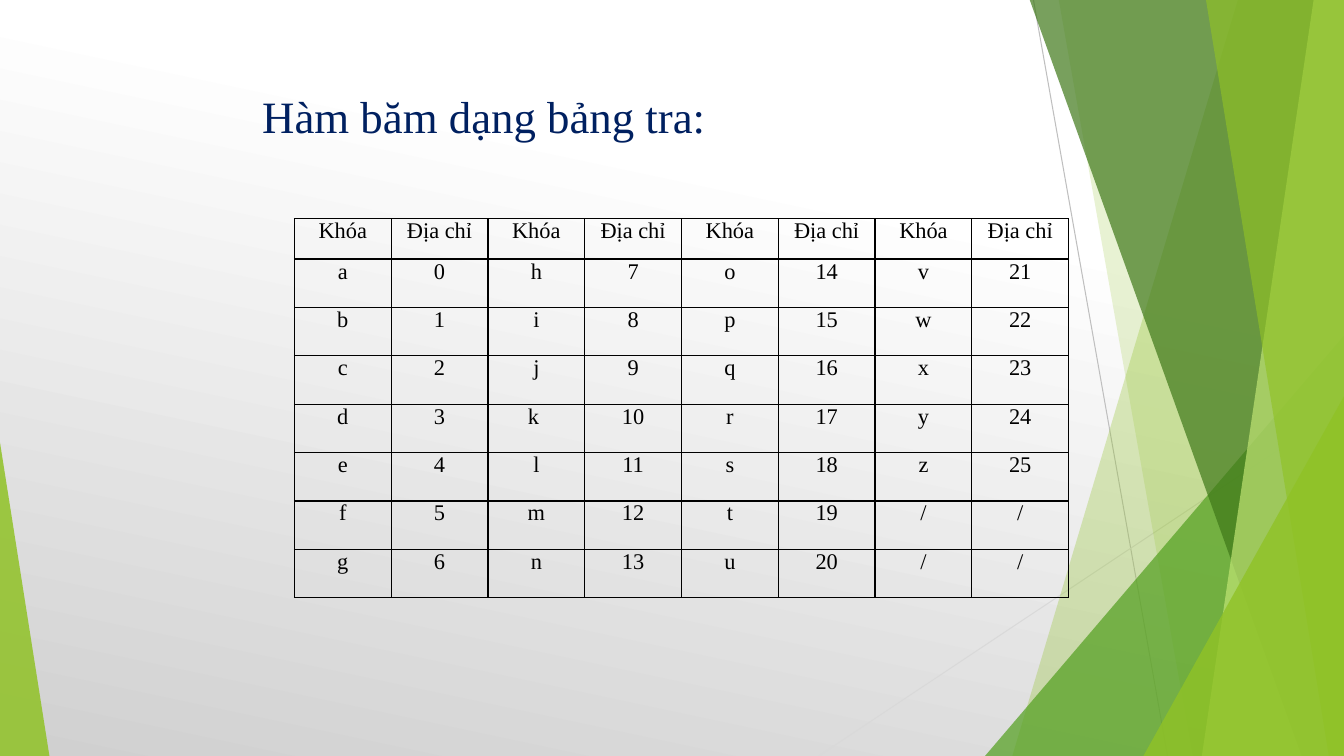
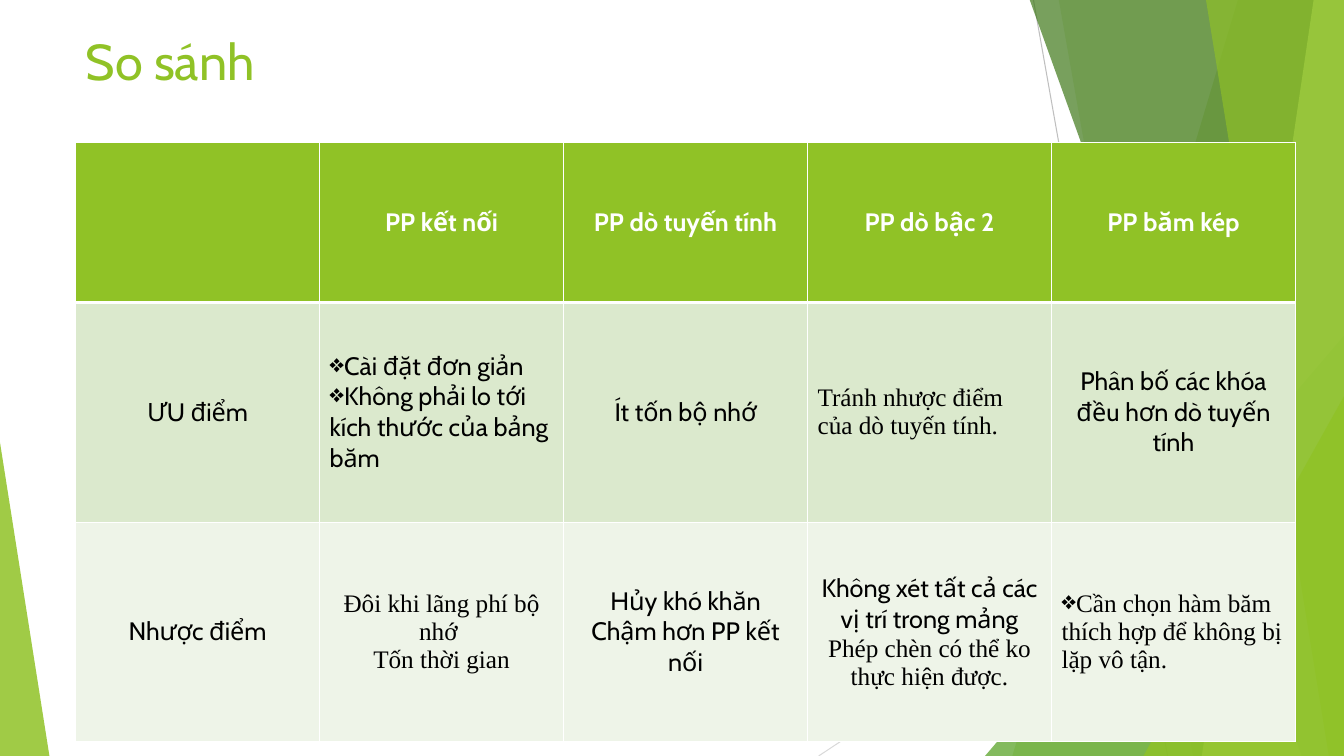
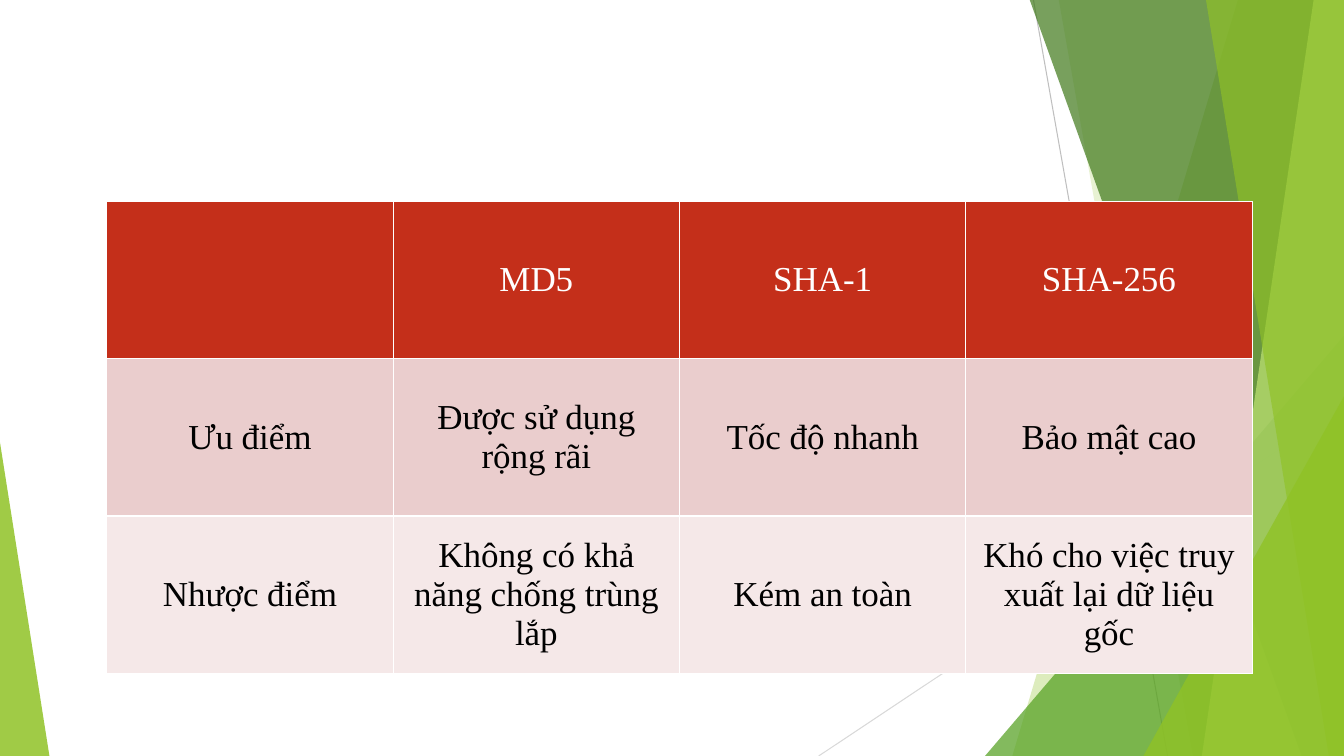
from lxml import etree
from pptx import Presentation
from pptx.dml.color import RGBColor
from pptx.enum.shapes import MSO_CONNECTOR as Link, MSO_SHAPE as Form
from pptx.enum.text import MSO_ANCHOR as Anchor, PP_ALIGN as Align
from pptx.oxml.ns import qn
from pptx.util import Pt

PX = 9144
WIDE, HIGH = 1333, 750
ROMAN, CABIN = "Times New Roman", "Cabin"
GREEN, RED, NAVY, BLACK, WHITE = "90C226", "C42F1A", "002060", "000000", "FFFFFF"

LINES = [
    ((1025, 0), (1158, 750), "BFBFBF"),
    ((1333, 403), (812, 750), "D9D9D9"),
]
# top left, top right, bottom right and bottom left x of each band
BANDS = [
    ("band", (1228, 1333, 1333, 1004), GREEN, 30),
    ("band", (1050, 1333, 1333, 1183), GREEN, 20),
    ("peak", (977, 333, 356, 417, 1), "54A021", 72),
    ("band", (1021, 1333, 1333, 1291), "3F7819", 70),
    ("band", (1303, 1333, 1333, 1192), "C0E474", 70),
    ("band", (1196, 1333, 1333, 1318), GREEN, 65),
    ("peak", (1134, 393, 199, 357, 1), GREEN, 80),
    ("peak", (0, 439, 49, 311, 0), GREEN, 85),
]

KEYS = [*"abcdefghij", "k ", *"lmnopqrstuvwxyz", "/", "/"]
SPOTS = [*map(str, range(26)), "/", "/"]
DEPTH = 7
HASH = [["Khóa", "Địa chỉ"] * 4] + [
    [text for n in range(row, len(KEYS), DEPTH) for text in (KEYS[n], SPOTS[n])]
    for row in range(DEPTH)
]

PROBE = [
    ["", "PP kết nối", "PP dò tuyến tính", "PP dò bậc 2", "PP băm kép"],
    [
        "ƯU điểm",
        [("Cài đặt đơn giản", CABIN, "bullet"),
         ("Không phải lo tới kích thước của bảng băm", CABIN, "bullet")],
        "Ít tốn bộ nhớ",
        [("Tránh nhược điểm của dò tuyến tính.", ROMAN, "left")],
        "Phân bố các khóa đều hơn dò tuyến tính",
    ],
    [
        "Nhược điểm",
        [("Đôi khi lãng phí bộ nhớ ", ROMAN, "center"),
         ("Tốn thời gian", ROMAN, "center")],
        [("Hủy khó khăn", CABIN, "center"),
         ("Chậm hơn PP kết nối", CABIN, "center")],
        [("Không xét tất cả các vị trí trong mảng", CABIN, "center"),
         ("Phép chèn có thể ko thực hiện được.", ROMAN, "center")],
        [("Cần chọn hàm băm thích hợp để không bị lặp vô tận.", ROMAN, "bullet")],
    ],
]

DIGEST = [
    ["", "MD5", "SHA-1", "SHA-256"],
    ["Ưu điểm", "Được sử dụng rộng rãi", "Tốc độ nhanh", "Bảo mật cao"],
    ["Nhược điểm", "Không có khả năng chống trùng lắp", "Kém an toàn",
     "Khó cho việc truy xuất lại dữ liệu gốc"],
]

SLIDES = [
    dict(title=("Hàm băm dạng bảng tra:", (250, 83, 883, 118), 32, ROMAN, NAVY),
         fade=True,
         table=dict(data=HASH, at=(292, 217), col=96, rows=[40] + [48] * DEPTH,
                    size=16, font=ROMAN, fills=[None] * 8, head=BLACK,
                    edge=BLACK, rule=1, bold=False, pad=(7, 0), anchor=Anchor.TOP)),
    dict(title=("So sánh", (75, 25, 933, 165), 36, CABIN, GREEN),
         fade=False,
         table=dict(data=PROBE, at=(75, 141), col=242, rows=[159, 218, 218],
                    size=18, font=CABIN, fills=[GREEN, "DBE9CD", "EEF4E8"], head=WHITE,
                    edge=WHITE, rule=3, bold=True, pad=(10, 5), anchor=Anchor.MIDDLE)),
    dict(title=None,
         fade=False,
         table=dict(data=DIGEST, at=(106, 200), col=284, rows=[156] * 3,
                    size=25, font=ROMAN, fills=[RED, "EACDCD", "F5E8E8"], head=WHITE,
                    edge=WHITE, rule=1, bold=False, pad=(10, 5), anchor=Anchor.MIDDLE)),
]


def rgb(code):
    return RGBColor.from_string(code)


def emu(*sizes):
    return [size * PX for size in sizes]


def sub(node, tag, **attrs):
    return etree.SubElement(node, qn(tag), attrs)


def style(para, size, font, color, bold=False):
    for run in para.runs:
        run.font.size = Pt(size)
        run.font.name = font
        run.font.bold = bold
        run.font.color.rgb = rgb(color)


def draw_line(shapes, start, end, color):
    line = shapes.add_connector(Link.STRAIGHT, *emu(*start, *end))
    line.line.color.rgb = rgb(color)
    line.line.width = Pt(0.75)
    sub(line.element.spPr, "a:effectLst")
    return line


def draw_facet(shapes, kind, dims, color, alpha):
    if kind == "peak":
        shape = shapes.add_shape(Form.ISOSCELES_TRIANGLE, *emu(*dims[:4]))
        shape.adjustments[0] = dims[4]
    else:
        first, *rest = zip(dims, (-1, -1, HIGH, HIGH))
        pen = shapes.build_freeform(*first, scale=PX)
        pen.add_line_segments(rest, close=True)
        shape = pen.convert_to_shape()
    shape.shadow.inherit = False
    shape.line.fill.background()
    shape.fill.solid()
    shape.fill.fore_color.rgb = rgb(color)
    tint = shape.element.spPr.find(".//" + qn("a:srgbClr"))
    sub(tint, "a:alpha", val=str(alpha * 1000))
    return shape


def dress(master, shapes):
    parts = [draw_line(shapes, *line) for line in LINES]
    parts += [draw_facet(shapes, *band) for band in BANDS]
    for n, part in enumerate(parts):
        part.element.find(".//" + qn("p:cNvPr")).set("id", str(100 + n))
        master.shapes.element.insert(2 + n, part.element)


def add_title(slide, text, box, size, font, color):
    title = slide.shapes.title
    title.left, title.top, title.width, title.height = emu(*box)
    frame = title.text_frame
    frame.text = text
    frame.word_wrap = True
    frame.vertical_anchor = Anchor.TOP
    para = frame.paragraphs[0]
    para.alignment = Align.LEFT
    style(para, size, font, color)


def set_edges(cell, color, top, bottom):
    props = cell._tc.get_or_add_tcPr()
    for side, width in (("L", 1), ("R", 1), ("T", top), ("B", bottom)):
        edge = sub(props, "a:ln" + side, w=str(Pt(width)))
        sub(sub(edge, "a:solidFill"), "a:srgbClr", val=color)


def fill_text(cell, item, table, color, bold):
    paras = [(item, table["font"], "center")] if isinstance(item, str) else item
    frame = cell.text_frame
    frame.text = "\n".join(text for text, _, _ in paras)
    for para, (_, font, kind) in zip(frame.paragraphs, paras):
        para.alignment = Align.CENTER if kind == "center" else Align.LEFT
        if kind == "bullet":
            sub(para._p.get_or_add_pPr(), "a:buChar", char="❖")
        style(para, table["size"], font, color, bold)


def add_grid(slide, table):
    data, rows, col = table["data"], table["rows"], table["col"]
    count = len(data[0])
    box = emu(*table["at"], col * count, sum(rows))
    grid = slide.shapes.add_table(len(rows), count, *box).table
    grid.first_row = grid.horz_banding = False
    for part in grid.columns:
        part.width = col * PX
    for r, line in enumerate(data):
        grid.rows[r].height = rows[r] * PX
        fill = table["fills"][r]
        for c, item in enumerate(line):
            cell = grid.cell(r, c)
            set_edges(cell, table["edge"], table["rule"] if r == 1 else 1,
                      table["rule"] if r == 0 else 1)
            if fill:
                cell.fill.solid()
                cell.fill.fore_color.rgb = rgb(fill)
            else:
                cell.fill.background()
            side, end = emu(*table["pad"])
            cell.margin_left = cell.margin_right = side
            cell.margin_top = cell.margin_bottom = end
            cell.vertical_anchor = table["anchor"]
            fill_text(cell, item, table, BLACK if r else table["head"],
                      table["bold"] and r == 0)


def set_back(slide, fade):
    fill = slide.background.fill
    if not fade:
        fill.solid()
        fill.fore_color.rgb = rgb(WHITE)
        return
    fill.gradient()
    fill.gradient_angle = 258
    for stop, color, place in zip(fill.gradient_stops, (WHITE, "D0D0D0"), (0.28, 1)):
        stop.color.rgb = rgb(color)
        stop.position = place


def main():
    deck = Presentation()
    deck.slide_width, deck.slide_height = emu(WIDE, HIGH)
    for n, page in enumerate(SLIDES):
        slide = deck.slides.add_slide(deck.slide_layouts[5 if page["title"] else 6])
        if n == 0:
            dress(deck.slide_master, slide.shapes)
        set_back(slide, page["fade"])
        if page["title"]:
            add_title(slide, *page["title"])
        add_grid(slide, page["table"])
    deck.save("out.pptx")


if __name__ == "__main__":
    main()
